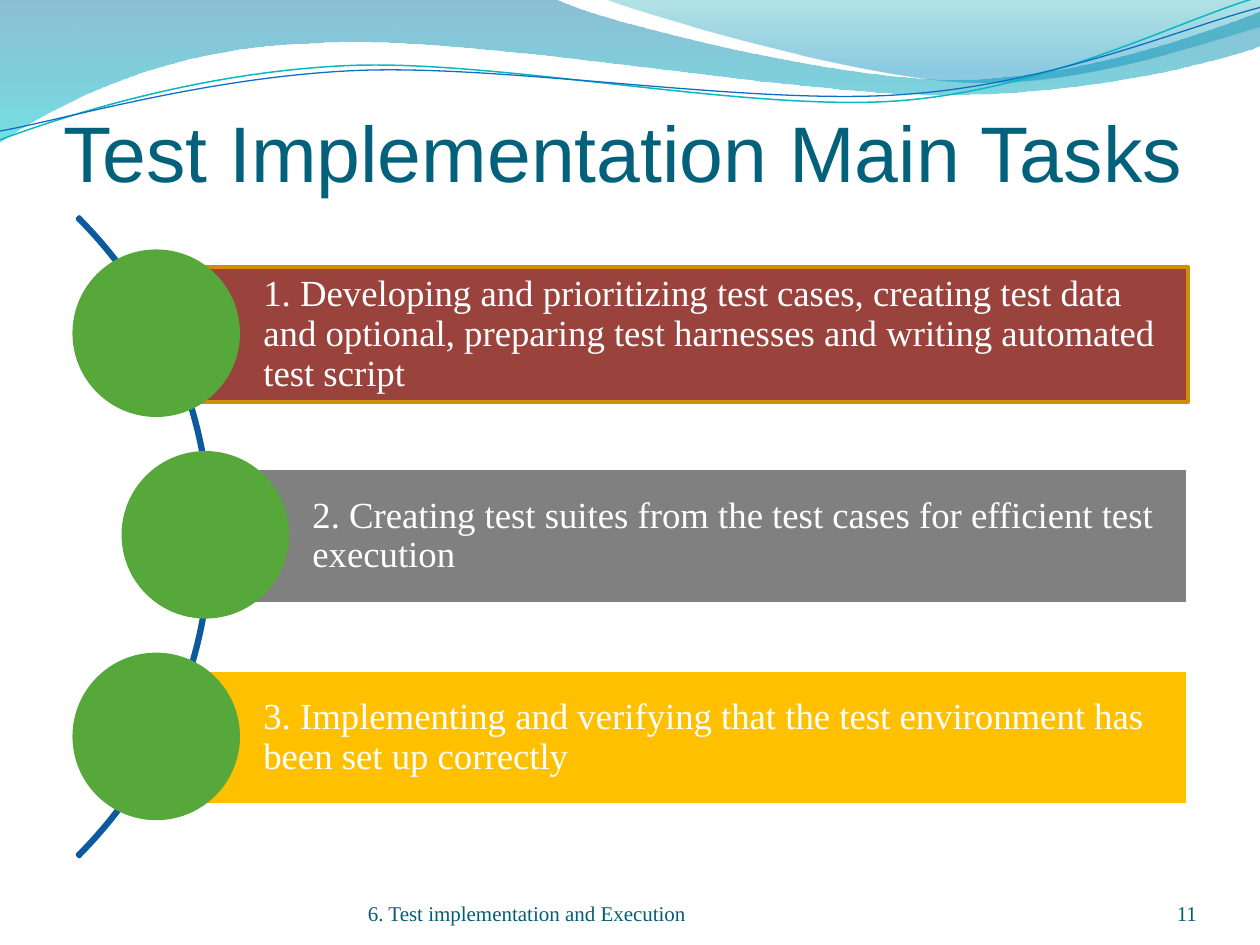
from math import cos, radians, sin

from pptx import Presentation
from pptx.dml.color import RGBColor
from pptx.enum.shapes import MSO_SHAPE
from pptx.enum.text import MSO_ANCHOR, PP_ALIGN
from pptx.oxml.ns import qn
from pptx.util import Emu, Inches, Pt

RECT, OVAL, BLOCK_ARC = MSO_SHAPE.RECTANGLE, MSO_SHAPE.OVAL, MSO_SHAPE.BLOCK_ARC
BOTTOM, MIDDLE = MSO_ANCHOR.BOTTOM, MSO_ANCHOR.MIDDLE
LEFT, RIGHT = PP_ALIGN.LEFT, PP_ALIGN.RIGHT
SERIF = "Times New Roman"
C = {"title": "04617B", "footer": "045D75", "white": "FFFFFF", "arc": "0C599F",
     "circle": "55A839", "red": "9A433C", "orange": "D08D06", "gray": "808080",
     "yellow": "FFC000", "blue": "0074A1", "cyan": "00C6CF", "teal": "00A1A9",
     "sky": "008BBF", "line_teal": "0AB8BF", "line_blue": "0F6FC6"}
C = {name: RGBColor.from_string(value) for name, value in C.items()}

prs = Presentation()
prs.slide_width, prs.slide_height = Inches(10), Inches(7.5)
W, H = prs.slide_width, prs.slide_height
s = prs.slides.add_slide(prs.slide_layouts[5])


def write(sp, text, size, color, font=SERIF, anchor=MIDDLE, align=LEFT,
          insets=(0, 0, 0, 0), spacing=1.0):
    tf = sp.text_frame
    tf.word_wrap = True
    tf.vertical_anchor = anchor
    tf.margin_left, tf.margin_top, tf.margin_right, tf.margin_bottom = map(Inches, insets)
    p = tf.paragraphs[0]
    p.alignment, p.line_spacing = align, spacing
    r = p.add_run()
    r.text = text
    r.font.name, r.font.size, r.font.color.rgb = font, Pt(size), C[color]


def add_wave(start, segments, closed):
    """Segments hold one point for a line, three for a cubic curve."""
    points = [(Inches(x), Inches(y)) for seg in segments for x, y in seg]
    builder = s.shapes.build_freeform(Inches(start[0]), Inches(start[1]))
    builder.add_line_segments(points, close=closed)
    sp = builder.convert_to_shape()
    sp.shadow.inherit = False
    lines = iter(list(sp._element.iter(qn("a:lnTo"))))
    for seg in segments:
        first = next(lines)
        if len(seg) == 3:
            curve = first.makeelement(qn("a:cubicBezTo"), {})
            first.addprevious(curve)
            for line in (first, next(lines), next(lines)):
                curve.append(line[0])
                line.getparent().remove(line)
    return sp


# Header waves: outline, then gradient stops (colour, position, opacity)
waves = [
    ((0, 0), [[(4.4, -0.01)], [(4.76, 0.17), (6.64, 0.63), (7.58, 0.63)],
              [(8.53, 0.63), (9.58, 0.26), (10, 0.09)], [(10.01, 0.36)],
              [(9.83, 0.44), (8.7, 0.76), (7.46, 0.75)],
              [(6.22, 0.75), (3.82, 0.28), (2.57, 0.34)],
              [(1.29, 0.36), (0.46, 0.83), (-0.01, 1.13)]],
     [("blue", 0, 45), ("cyan", 1, 55)]),
    ((4.79, -0.01), [[(5.09, 0.11), (6.82, 0.62), (7.69, 0.65)],
                     [(8.56, 0.69), (9.61, 0.32), (10, 0.21)], [(10, 0)]],
     [("teal", 0, 30), ("sky", 0.8, 45)]),
]
for start, segments, stops in waves:
    sp = add_wave(start, segments, closed=True)
    sp.line.fill.background()
    sp.fill.gradient()
    sp.fill.gradient_angle = 270
    for stop, (color, position, _) in zip(sp.fill.gradient_stops, stops):
        stop.color.rgb, stop.position = C[color], position
    for clr, (_, _, opacity) in zip(sp._element.spPr.iter(qn("a:srgbClr")), stops):
        clr.append(clr.makeelement(qn("a:alpha"), {"val": str(opacity * 1000)}))

# Thin header curves, laid level and then tilted about their centre
TILT = 2.7
curves = [
    ((4.99, 0.58), [[(0, 1.11)], [(0.48, 0.93), (1.58, 0.57), (2.77, 0.52)],
                    [(3.95, 0.47), (5.93, 0.89), (7.13, 0.8)],
                    [(8.33, 0.71), (9.38, 0.15), (9.98, -0.02)]], "line_teal", 0.85),
    ((5, 0.59), [[(0, 1.04)], [(0.47, 0.96), (1.64, 0.61), (2.83, 0.56)],
                 [(4.03, 0.51), (5.97, 0.84), (7.17, 0.75)],
                 [(8.36, 0.67), (9.41, 0.21), (10, 0.06)]], "line_blue", 0.75),
]
ca, sa = cos(radians(TILT)), sin(radians(TILT))
for (cx, cy), segments, color, width in curves:
    level = [[(cx + (x - cx) * ca - (y - cy) * sa, cy + (x - cx) * sa + (y - cy) * ca)
              for x, y in seg] for seg in segments]
    sp = add_wave(level[0][0], level[1:], closed=False)
    sp.rotation = 360 - TILT
    sp.fill.background()
    sp.line.color.rgb, sp.line.width = C[color], Pt(width)

# Title
title = s.shapes.title
title.left, title.top, title.width, title.height = (
    Emu(int(W * 0.05)), Inches(0.67), Emu(int(W * 0.9)), Emu(int(H * 0.12)))
write(title, "Test Implementation Main Tasks", 45, "title", font="Arial",
      anchor=BOTTOM, insets=(0, 0.05, 0, 0))

# Arc behind the tasks
arc = s.shapes.add_shape(BLOCK_ARC, Inches(-5.5), Inches(0.67), Inches(7.18), Inches(7.18))
for i, value in enumerate((189, 27, 0.003)):
    arc.adjustments[i] = value
arc.shadow.inherit = False
arc.fill.background()
arc.line.color.rgb, arc.line.width = C["arc"], Pt(2)

# Task rows: a bar with a circle centred on its left edge
ROW_TOP, ROW_STEP, BAR_H, BAR_RIGHT = 2.12, 1.6, 1.07, 9.43
CIRCLE, CIRCLE_RISE = 1.33, 0.14
tasks = [
    ("1. Developing and prioritizing test cases, creating test data and optional, "
     "preparing test harnesses and writing automated test script", 1.24, "red", "orange"),
    ("2. Creating test suites from the test cases for efficient test execution",
     1.63, "gray", "white"),
    ("3. Implementing and verifying that the test environment has been set up correctly",
     1.24, "yellow", "white"),
]
for row, (text, left, fill, line) in enumerate(tasks):
    top = ROW_TOP + row * ROW_STEP
    bar = s.shapes.add_shape(RECT, Inches(left), Inches(top),
                             Inches(BAR_RIGHT - left), Inches(BAR_H))
    circle = s.shapes.add_shape(OVAL, Inches(left - CIRCLE / 2), Inches(top - CIRCLE_RISE),
                                Inches(CIRCLE), Inches(CIRCLE))
    for sp, color in ((bar, fill), (circle, "circle")):
        sp.shadow.inherit = False
        sp.fill.solid()
        sp.fill.fore_color.rgb = C[color]
    bar.line.color.rgb, bar.line.width = C[line], Pt(2)
    circle.line.fill.background()
    write(bar, text, 21, "white", insets=(0.85, 0.06, 0.06, 0.06), spacing=0.9)

# Footer and slide number
for text, left, width, align in (
        ("6. Test implementation and Execution", 2.92, 3.67, LEFT),
        ("11", 8.67, 0.83, RIGHT)):
    box = s.shapes.add_textbox(Inches(left), Inches(6.95), Inches(width), Inches(0.4))
    write(box, text, 12, "footer", anchor=BOTTOM, align=align)

prs.save("out.pptx")
